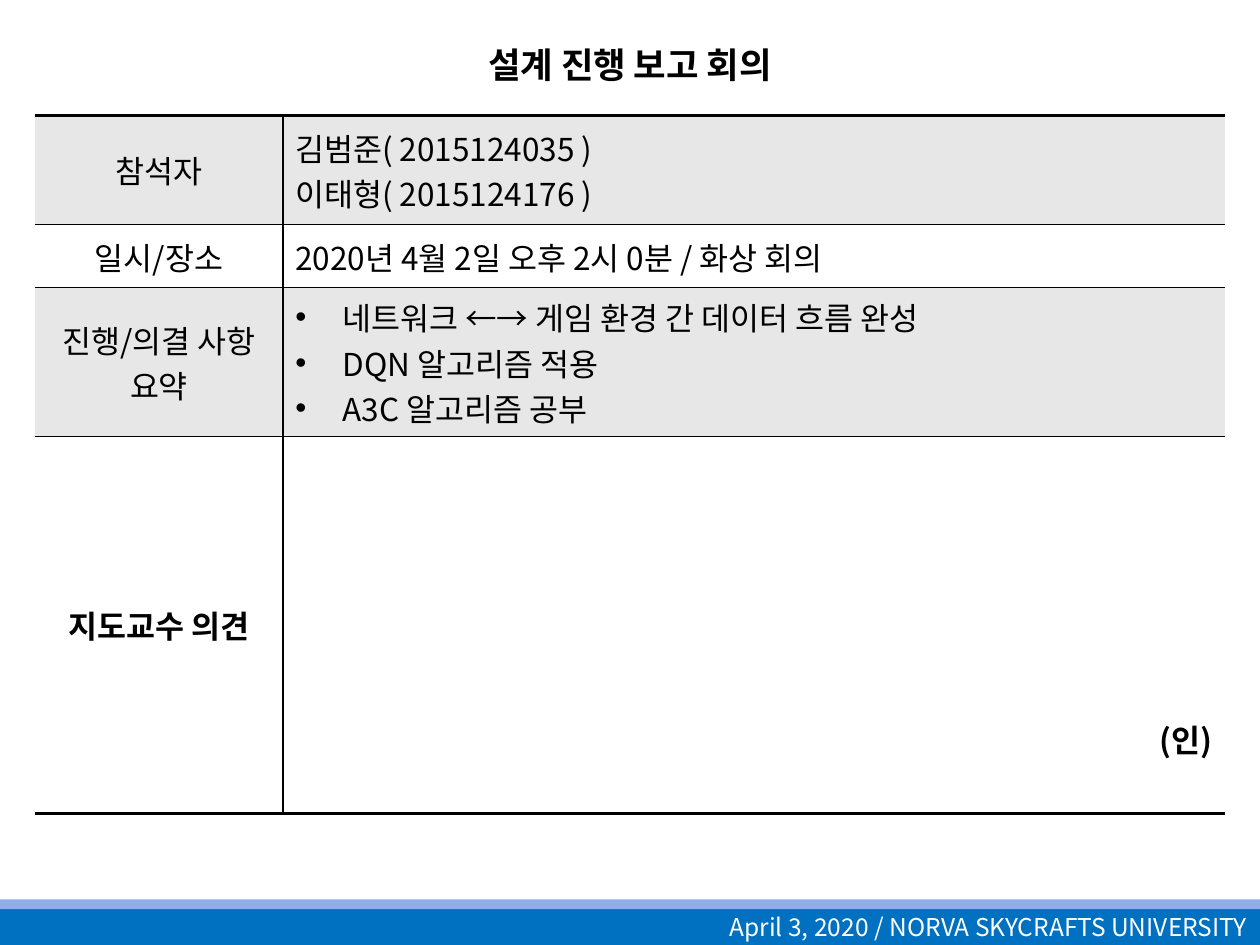
from pptx import Presentation
from pptx.dml.color import RGBColor
from pptx.enum.shapes import MSO_SHAPE
from pptx.enum.text import MSO_ANCHOR, PP_ALIGN
from pptx.oxml.ns import qn
from pptx.util import Cm, Pt
from lxml.etree import SubElement

FONT = "Noto Sans CJK KR"
COLORS = {
    "black": "000000",
    "white": "FFFFFF",
    "gray": "E7E7E7",
    "blue": "0070C0",
    "light_blue": "8FADE9",
}
COLUMN_WIDTHS = [4.99, 19]
ROW_HEIGHTS = [2.2, 1.27, 3, 7.59]
ROWS = [
    ("참석자", ["김범준( 2015124035 )", "이태형( 2015124176 )"]),
    ("일시/장소", ["2020년 4월 2일 오후 2시 0분 / 화상 회의"]),
    ("진행/의결 사항 요약", [
        "네트워크 ←→ 게임 환경 간 데이터 흐름 완성",
        "DQN 알고리즘 적용",
        "A3C 알고리즘 공부",
    ]),
    ("지도교수 의견", ["(인)"]),
]
SUMMARY_ROW, OPINION_ROW = 2, 3


def color(name):
    """Return the named palette colour."""
    return RGBColor.from_string(COLORS[name])


def write_lines(text_frame, lines, size, align=PP_ALIGN.LEFT, text_color="black", bold=False):
    """Write one formatted paragraph per line."""
    font_format = {"name": FONT, "size": Pt(size), "bold": bold}
    for index, line in enumerate(lines):
        paragraph = text_frame.add_paragraph() if index else text_frame.paragraphs[0]
        paragraph.alignment = align
        run = paragraph.add_run()
        run.text = line
        for attribute, value in font_format.items():
            setattr(run.font, attribute, value)
        run.font.color.rgb = color(text_color)
        SubElement(run.font._element, qn("a:ea"), typeface=FONT)


def add_bullet(paragraph):
    """Give a paragraph a hanging round bullet."""
    properties = paragraph._p.get_or_add_pPr()
    indent = Cm(0.95)
    properties.set("marL", str(indent))
    properties.set("indent", str(-indent))
    SubElement(properties, qn("a:buFont"), typeface="Arial")
    SubElement(properties, qn("a:buChar"), char="•")


def set_borders(cell, widths):
    """Draw black cell borders; a width of zero hides the side."""
    properties = cell._tc.get_or_add_tcPr()
    for side in "LRTB":
        line = SubElement(properties, qn(f"a:ln{side}"), w=str(Pt(widths[side])))
        if widths[side]:
            fill = SubElement(line, qn("a:solidFill"))
            SubElement(fill, qn("a:srgbClr"), val=COLORS["black"])
        else:
            SubElement(line, qn("a:noFill"))


def add_bar(slide, top, height, fill):
    """Add a plain bar across the full slide width."""
    shape = slide.shapes.add_shape(MSO_SHAPE.RECTANGLE, 0, Cm(top), Cm(25.4), Cm(height))
    shape.shadow.inherit = False
    shape.fill.solid()
    shape.fill.fore_color.rgb = color(fill)
    shape.line.fill.background()
    return shape


def add_title(slide, text):
    """Add the centred title in small capitals."""
    text_frame = slide.shapes.add_textbox(Cm(1.9), Cm(0.53), Cm(21.6), Cm(1.4)).text_frame
    text_frame.word_wrap = True
    text_frame.vertical_anchor = MSO_ANCHOR.MIDDLE
    write_lines(text_frame, [text], 25.2, PP_ALIGN.CENTER, bold=True)
    text_frame.paragraphs[0].runs[0].font._element.set("cap", "small")


def add_report_table(slide):
    """Add the meeting report with a label and a content column."""
    table = slide.shapes.add_table(
        len(ROWS), 2, Cm(0.71), Cm(2.33), Cm(sum(COLUMN_WIDTHS)), Cm(sum(ROW_HEIGHTS))
    ).table
    table.first_row = table.horz_banding = False
    for column, width in zip(table.columns, COLUMN_WIDTHS):
        column.width = Cm(width)
    for row_index, (label, lines) in enumerate(ROWS):
        table.rows[row_index].height = Cm(ROW_HEIGHTS[row_index])
        is_opinion = row_index == OPINION_ROW
        content_align = PP_ALIGN.RIGHT if is_opinion else PP_ALIGN.LEFT
        contents = [([label], PP_ALIGN.CENTER), (lines, content_align)]
        for column_index, (cell_lines, align) in enumerate(contents):
            cell = table.cell(row_index, column_index)
            set_borders(cell, {
                "L": column_index,
                "R": 1 - column_index,
                "T": 2 if row_index == 0 else 1,
                "B": 2 if is_opinion else 1,
            })
            cell.fill.solid()
            cell.fill.fore_color.rgb = color("white" if row_index % 2 else "gray")
            cell.vertical_anchor = MSO_ANCHOR.MIDDLE
            write_lines(cell.text_frame, cell_lines, 18, align, bold=is_opinion)
    for paragraph in table.cell(SUMMARY_ROW, 1).text_frame.paragraphs:
        add_bullet(paragraph)
    signature = table.cell(OPINION_ROW, 1)
    signature.vertical_anchor = MSO_ANCHOR.BOTTOM
    signature.margin_bottom = Cm(1.04)


def add_footer(slide, text):
    """Add the footer bar with its text and the stripe above it."""
    text_frame = add_bar(slide, 18.31, 0.74, "blue").text_frame
    text_frame.word_wrap = True
    text_frame.vertical_anchor = MSO_ANCHOR.MIDDLE
    write_lines(text_frame, [text], 14, PP_ALIGN.RIGHT, "white")
    add_bar(slide, 18.13, 0.2, "light_blue")


def main():
    """Build and save the meeting report slide."""
    presentation = Presentation()
    presentation.slide_width, presentation.slide_height = Cm(25.4), Cm(19.05)
    slide = presentation.slides.add_slide(presentation.slide_layouts[6])
    add_footer(slide, "April 3, 2020 / NORVA SKYCRAFTS UNIVERSITY")
    add_title(slide, "설계 진행 보고 회의")
    add_report_table(slide)
    presentation.save("out.pptx")


main()
